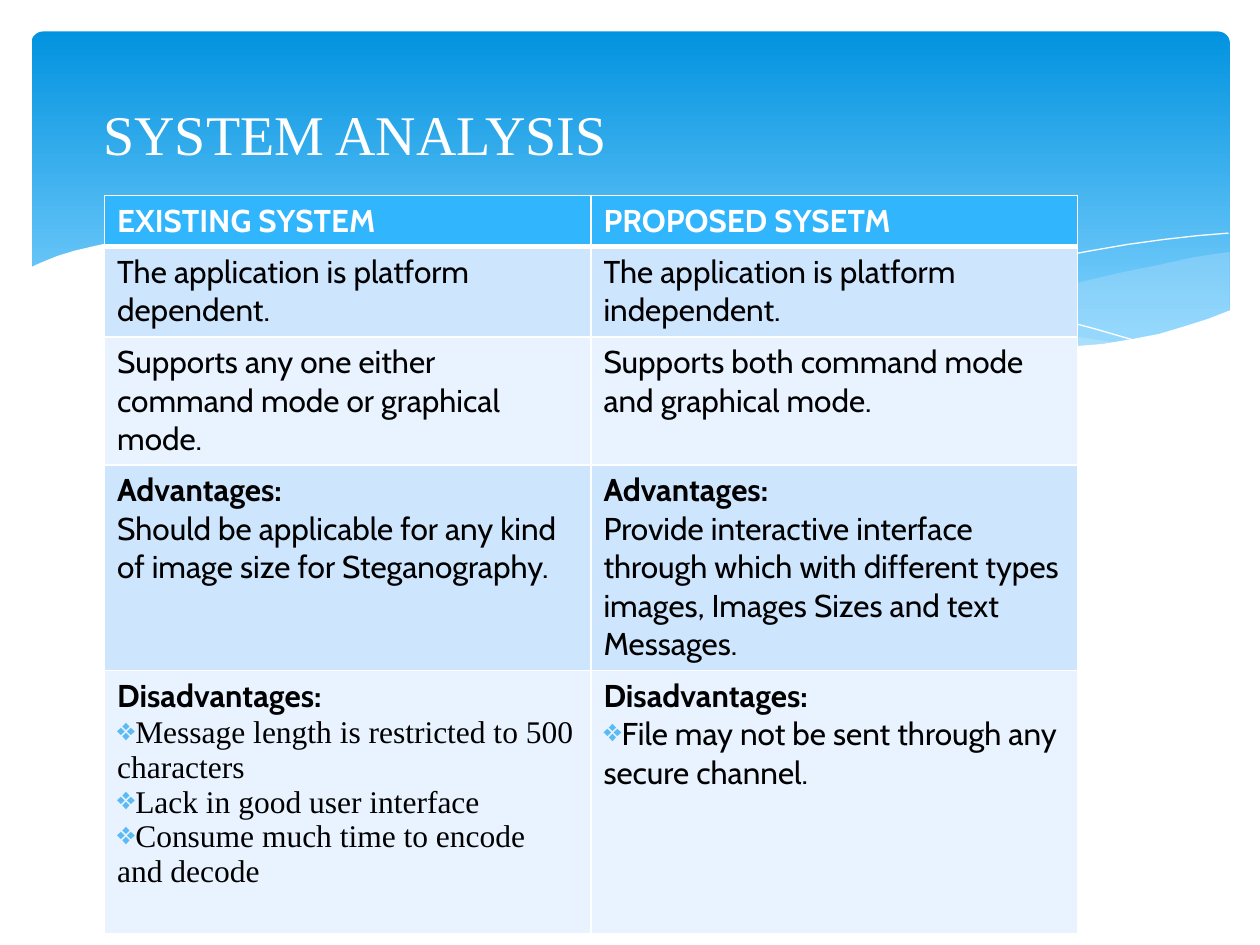
from lxml.etree import SubElement
from pptx import Presentation
from pptx.dml.color import RGBColor
from pptx.enum.shapes import MSO_SHAPE as Preset
from pptx.enum.text import MSO_ANCHOR as Anchor, PP_ALIGN as Align
from pptx.oxml.ns import qn
from pptx.util import Inches, Pt

UNIT = Inches(0.01)
COLUMNS, ROWS = 1000, 750
WHITE, BLACK, PALE, SKY = "FFFFFF", "000000", "C6E7FC", "31B6FD"
BULLET = "5BBAF6"
BANDS = ("CEE5FE", "E8F3FF")
SANS, SERIF = "Cabin", "Times New Roman"
ROW_HEIGHTS = (40, 72, 101, 163, 209)

RIGHT_SWELL = [
    (975, 200), (948, 204), (921, 210), (891, 216), (861, 223), (805, 237),
    (753, 248), (706, 257), (661, 265), (691, 269), (719, 272), (745, 275),
    (781, 277), (814, 278), (844, 277), (872, 274), (897, 270), (921, 265),
    (942, 259), (963, 252), (976, 247), (976, 200),
]
LONG_SWELL = [
    (893, 273), (866, 269), (807, 260), (741, 247), (668, 231), (629, 222),
    (584, 211), (541, 203), (502, 196), (465, 191), (420, 187), (380, 185),
    (344, 186), (313, 188), (286, 191), (323, 196), (362, 203), (404, 211),
    (449, 222), (530, 240), (601, 255), (665, 266), (722, 274), (773, 277),
    (818, 278), (857, 277), (893, 273),
]
FALLING_LINE = [
    (309, 195), (328, 192), (353, 189), (387, 187), (433, 187), (469, 189),
    (510, 192), (556, 197), (608, 204), (665, 213), (727, 226), (795, 241),
    (831, 251), (869, 261), (907, 272),
]
RISING_LINE = [
    (613, 257), (653, 246), (695, 235), (748, 223), (806, 210), (866, 199),
    (895, 194), (924, 190), (951, 187), (975, 185),
]
WHITE_WAVE = [
    (977, 246), (959, 253), (940, 259), (920, 265), (899, 269), (875, 273),
    (850, 275), (823, 277), (793, 276), (761, 275), (726, 272), (688, 268),
    (648, 262), (603, 254), (555, 245), (503, 233), (447, 220), (391, 207),
    (340, 197), (292, 190), (250, 186), (211, 184), (177, 184), (146, 185),
    (119, 187), (95, 191), (76, 195), (59, 199), (46, 203), (36, 207),
    (29, 210), (23, 213), (23, 329), (977, 329),
]
TABLE_ROWS = [
    (["EXISTING SYSTEM"], ["PROPOSED SYSETM"]),
    (["The application is platform dependent."],
     ["The application is platform independent."]),
    (["Supports any one either command mode or graphical mode."],
     ["Supports both command mode and graphical mode."]),
    (["Advantages:",
      "Should be applicable for any kind of image size for Steganography."],
     ["Advantages:",
      "Provide interactive interface through which with different types "
      "images, Images Sizes and text Messages."]),
    (["Disadvantages:", "Message length is restricted to 500 characters",
      "Lack in good user interface", "Consume much time to encode and decode"],
     ["Disadvantages:", "File may not be sent through any secure channel."]),
]


def color(value):
    return RGBColor.from_string(value)


def grid(*cells):
    return [cell * UNIT for cell in cells]


def style_font(font, size, name, value, bold=False):
    font.size = Pt(size)
    font.name = name
    font.bold = bold
    font.color.rgb = color(value)


def add_banner(slide):
    shape = slide.shapes.add_shape(Preset.ROUNDED_RECTANGLE, *grid(25, 25, 951, 270))
    shape.adjustments[0] = 0.034
    shape.shadow.inherit = False
    shape.line.fill.background()
    shape.fill.gradient()
    shape.fill.gradient_angle = 270
    stops = zip(shape.fill.gradient_stops, ((0, "0293E0"), (0.9, "83D3FE")))
    for stop, (position, value) in stops:
        stop.position = position
        stop.color.rgb = color(value)


def add_outline(slide, points, closed):
    builder = slide.shapes.build_freeform(*points[0], scale=UNIT)
    builder.add_line_segments(points[1:], close=closed)
    shape = builder.convert_to_shape()
    shape.shadow.inherit = False
    return shape


def add_wave(slide, points, value, opacity=100):
    shape = add_outline(slide, points, True)
    shape.line.fill.background()
    shape.fill.solid()
    shape.fill.fore_color.rgb = color(value)
    if opacity < 100:
        tint = shape.element.spPr.find(qn("a:solidFill"))[0]
        SubElement(tint, qn("a:alpha"), val=str(opacity * 1000))


def add_curve(slide, points):
    shape = add_outline(slide, points, False)
    shape.fill.background()
    shape.line.color.rgb = color(WHITE)
    shape.line.width = Pt(0)


def set_borders(cell, top, bottom):
    properties = cell._tc.get_or_add_tcPr()
    for side, width in (("L", 1), ("R", 1), ("T", top), ("B", bottom)):
        line = SubElement(properties, qn(f"a:ln{side}"), w=str(Pt(width)))
        SubElement(SubElement(line, qn("a:solidFill")), qn("a:srgbClr"), val=WHITE)


def add_bullet(paragraph):
    properties = paragraph._p.get_or_add_pPr()
    properties.set("marL", "0")
    properties.set("indent", "0")
    SubElement(SubElement(properties, qn("a:buClr")), qn("a:srgbClr"), val=BULLET)
    SubElement(properties, qn("a:buChar"), char="❖")


def fill_cell(cell, lines, row, column):
    header = row == 0
    listed = row == len(TABLE_ROWS) - 1
    set_borders(cell, 3 if row == 1 else 1, 3 if header else 1)
    cell.fill.solid()
    cell.fill.fore_color.rgb = color(SKY if header else BANDS[(row - 1) % 2])
    cell.text = "\n".join(lines)
    for index, paragraph in enumerate(cell.text_frame.paragraphs):
        item = listed and index > 0
        if item:
            add_bullet(paragraph)
        heading = header or (len(lines) > 1 and index == 0)
        style_font(paragraph.font, 18, SERIF if item and column == 0 else SANS,
                   WHITE if header else BLACK, heading)


def add_comparison(slide):
    frame = slide.shapes.add_table(len(TABLE_ROWS), 2,
                                   *grid(83, 155, 772, sum(ROW_HEIGHTS)))
    table = frame.table
    for row, (height, texts) in enumerate(zip(ROW_HEIGHTS, TABLE_ROWS)):
        table.rows[row].height = height * UNIT
        for column, lines in enumerate(texts):
            fill_cell(table.cell(row, column), lines, row, column)


def place_title(slide, text):
    title = slide.shapes.title
    title.left, title.top, title.width, title.height = grid(50, 37, 900, 137)
    frame = title.text_frame
    frame.text = text
    frame.vertical_anchor = Anchor.MIDDLE
    frame.margin_left = 32 * UNIT
    paragraph = frame.paragraphs[0]
    paragraph.alignment = Align.LEFT
    style_font(paragraph.font, 32, SERIF, WHITE)
    title.element.getparent().append(title.element)


def main():
    presentation = Presentation()
    presentation.slide_width, presentation.slide_height = grid(COLUMNS, ROWS)
    slide = presentation.slides.add_slide(presentation.slide_layouts[5])
    add_banner(slide)
    add_wave(slide, RIGHT_SWELL, PALE, 29)
    add_wave(slide, LONG_SWELL, PALE, 40)
    add_curve(slide, FALLING_LINE)
    add_curve(slide, RISING_LINE)
    add_wave(slide, WHITE_WAVE, WHITE)
    add_comparison(slide)
    place_title(slide, "SYSTEM ANALYSIS")
    presentation.save("out.pptx")


if __name__ == "__main__":
    main()
